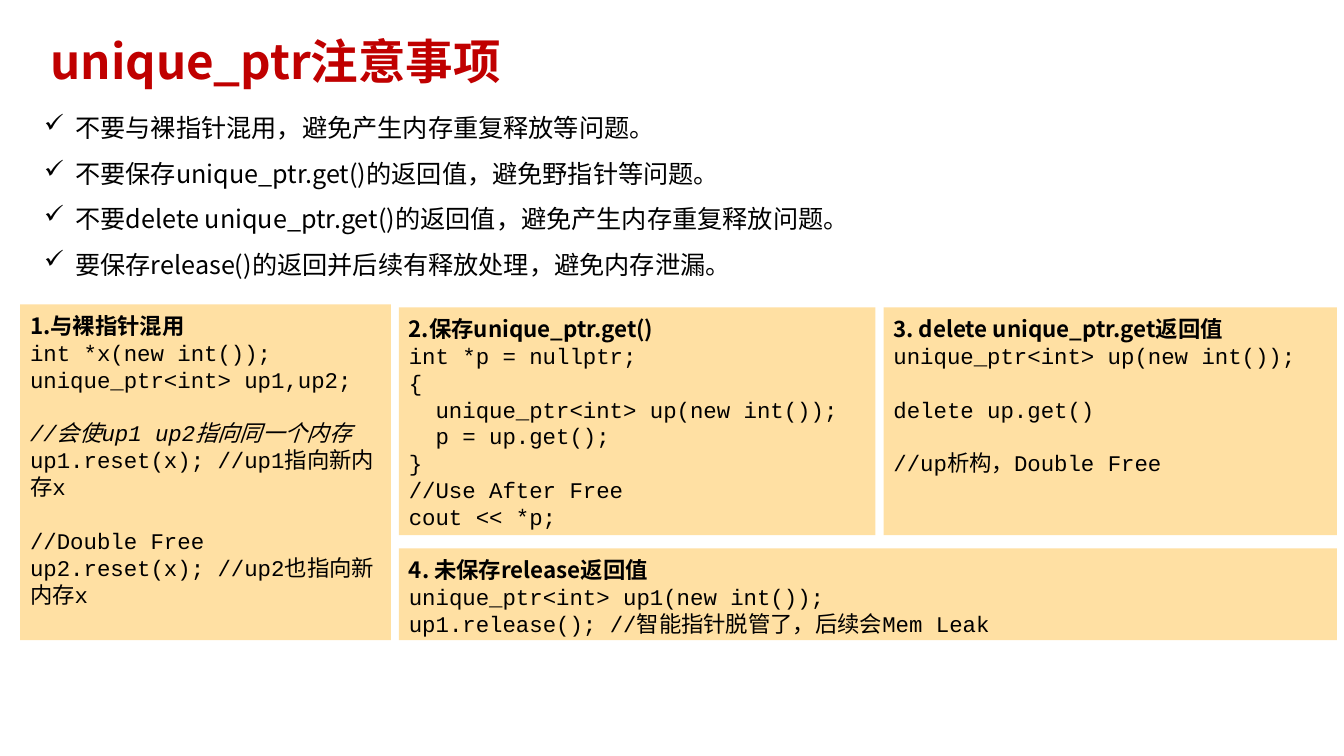
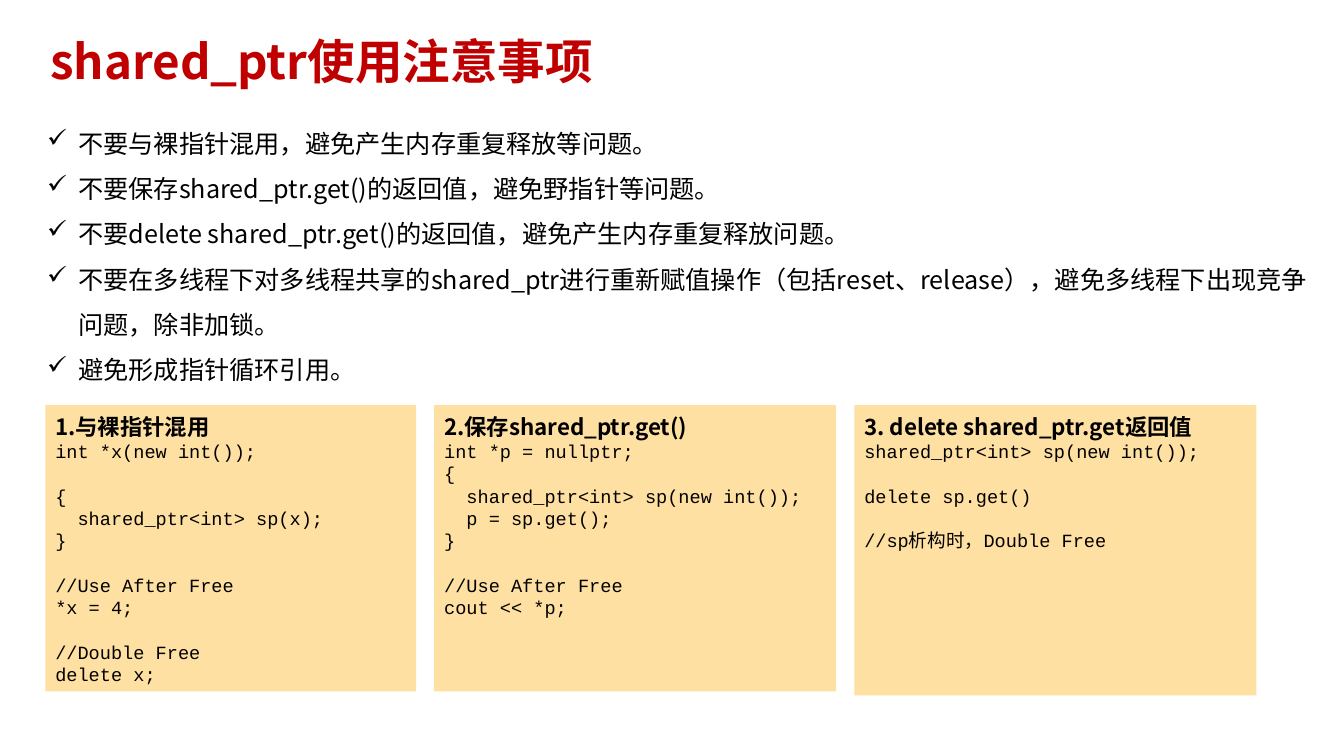
from dataclasses import dataclass

from lxml import etree
from pptx import Presentation
from pptx.dml.color import RGBColor
from pptx.enum.shapes import MSO_SHAPE
from pptx.enum.text import MSO_ANCHOR, PP_ALIGN
from pptx.oxml.ns import qn
from pptx.slide import Slide
from pptx.text.text import TextFrame
from pptx.util import Inches, Pt

RECTANGLE = MSO_SHAPE.RECTANGLE
TOP, MIDDLE = MSO_ANCHOR.TOP, MSO_ANCHOR.MIDDLE
LEFT = PP_ALIGN.LEFT


@dataclass(frozen=True)
class Theme:
    title_color: RGBColor = RGBColor(0xC0, 0x00, 0x00)
    ink: RGBColor = RGBColor(0x00, 0x00, 0x00)
    panel: RGBColor = RGBColor(0xFF, 0xE0, 0xA3)
    text_font: str = "Noto Sans CJK SC"
    code_font: str = "Courier New"
    title_size: float = 34
    rule_size: float = 18
    heading_size: float = 16
    rule_leading: float = 1.8
    heading_leading: float = 1.32
    code_leading: float = 1.2
    rule_indent: float = 0.31


THEME = Theme()


@dataclass(frozen=True)
class Box:
    left: float
    top: float
    width: float
    height: float

    def lengths(self) -> tuple[int, int, int, int]:
        return Inches(self.left), Inches(self.top), Inches(self.width), Inches(self.height)


@dataclass(frozen=True)
class Example:
    heading: str
    code: str
    box: Box
    italic_line: str = ""


@dataclass(frozen=True)
class Page:
    title: str
    rules: tuple[str, ...]
    rules_box: Box
    examples: tuple[Example, ...]
    code_size: float


def row_boxes(left: float, top: float, gap: float, sizes: tuple[tuple[float, float], ...]) -> list[Box]:
    boxes = []
    for width, height in sizes:
        boxes.append(Box(left, top, width, height))
        left += width + gap
    return boxes


def add_text(frame: TextFrame, text: str, *, size: float, color: RGBColor = THEME.ink,
             font: str = THEME.text_font, bold: bool = False, italic: bool = False,
             leading: float = 0, space_before: float = 0, bullet: str = "") -> None:
    first = frame.paragraphs[0]
    paragraph = frame.add_paragraph() if first.runs else first
    paragraph.alignment = LEFT
    if leading:
        paragraph.line_spacing = Pt(size * leading)
    if space_before:
        paragraph.space_before = Pt(space_before)
    if bullet:
        properties = paragraph._p.get_or_add_pPr()
        properties.set("marL", str(Inches(THEME.rule_indent)))
        properties.set("indent", str(-Inches(THEME.rule_indent)))
        etree.SubElement(properties, qn("a:buChar")).set("char", bullet)
    run = paragraph.add_run()
    run.text = text
    run.font.size = Pt(size)
    run.font.bold = bold
    run.font.italic = italic
    run.font.color.rgb = color
    run.font.name = font
    east_asian = etree.SubElement(run._r.get_or_add_rPr(), qn("a:ea"))
    east_asian.set("typeface", THEME.text_font)


def draw_title(slide: Slide, title: str) -> None:
    frame = slide.shapes.add_textbox(*Box(0.37, 0.28, 12.97, 0.64).lengths()).text_frame
    frame.word_wrap = True
    frame.vertical_anchor = MIDDLE
    frame.margin_left = frame.margin_right = Inches(0.13)
    frame.margin_top = frame.margin_bottom = Inches(0.07)
    add_text(frame, title, size=THEME.title_size, color=THEME.title_color, bold=True)


def draw_rules(slide: Slide, rules: tuple[str, ...], box: Box) -> None:
    frame = slide.shapes.add_textbox(*box.lengths()).text_frame
    frame.word_wrap = True
    for rule in rules:
        add_text(frame, rule, size=THEME.rule_size, leading=THEME.rule_leading, bullet="✓")


def draw_example(slide: Slide, example: Example, code_size: float) -> None:
    panel = slide.shapes.add_shape(RECTANGLE, *example.box.lengths())
    panel.shadow.inherit = False
    panel.fill.solid()
    panel.fill.fore_color.rgb = THEME.panel
    panel.line.fill.background()
    frame = panel.text_frame
    frame.word_wrap = True
    frame.vertical_anchor = TOP
    add_text(frame, example.heading, size=THEME.heading_size, bold=True,
             leading=THEME.heading_leading)
    for block_number, block in enumerate(example.code.split("\n\n")):
        for line_number, line in enumerate(block.split("\n")):
            starts_block = block_number > 0 and line_number == 0
            add_text(frame, line, size=code_size, font=THEME.code_font,
                     italic=line == example.italic_line, leading=THEME.code_leading,
                     space_before=code_size * THEME.code_leading if starts_block else 0)


def draw_page(slide: Slide, page: Page) -> None:
    draw_title(slide, page.title)
    draw_rules(slide, page.rules, page.rules_box)
    for example in page.examples:
        draw_example(slide, example, page.code_size)


GAP = 0.08
MIXED_BOX = Box(0.2, 3.02, 3.68, 3.33)
GET_BOX, DELETE_BOX = row_boxes(3.96, 3.05, GAP, ((4.73, 2.26), (4.5, 2.26)))
RELEASE_BOX = Box(GET_BOX.left, 5.44, GET_BOX.width + GAP + DELETE_BOX.width, 0.91)
SHARED_BOXES = row_boxes(0.45, 4.02, 0.18, ((3.68, 2.84), (3.99, 2.84), (3.99, 2.88)))
SAME_MEMORY = "//会使up1 up2指向同一个内存"

UNIQUE_PAGE = Page(
    title="unique_ptr注意事项",
    rules=(
        "不要与裸指针混用，避免产生内存重复释放等问题。",
        "不要保存unique_ptr.get()的返回值，避免野指针等问题。",
        "不要delete unique_ptr.get()的返回值，避免产生内存重复释放问题。",
        "要保存release()的返回并后续有释放处理，避免内存泄漏。",
    ),
    rules_box=Box(0.34, 0.92, 12.71, 1.87),
    examples=(
        Example("1.与裸指针混用", f"""int *x(new int());
unique_ptr<int> up1,up2;

{SAME_MEMORY}
up1.reset(x); //up1指向新内存x

//Double Free
up2.reset(x); //up2也指向新内存x""", MIXED_BOX, SAME_MEMORY),
        Example("2.保存unique_ptr.get()", """int *p = nullptr;
{
  unique_ptr<int> up(new int());
  p = up.get();
}
//Use After Free
cout << *p;""", GET_BOX),
        Example("3. delete unique_ptr.get返回值", """unique_ptr<int> up(new int());

delete up.get()

//up析构，Double Free""", DELETE_BOX),
        Example("4. 未保存release返回值", """unique_ptr<int> up1(new int());
up1.release(); //智能指针脱管了，后续会Mem Leak""", RELEASE_BOX),
    ),
    code_size=16,
)

SHARED_PAGE = Page(
    title="shared_ptr使用注意事项",
    rules=(
        "不要与裸指针混用，避免产生内存重复释放等问题。",
        "不要保存shared_ptr.get()的返回值，避免野指针等问题。",
        "不要delete shared_ptr.get()的返回值，避免产生内存重复释放问题。",
        "不要在多线程下对多线程共享的shared_ptr进行重新赋值操作（包括reset、release），"
        "避免多线程下出现竞争问题，除非加锁。",
        "避免形成指针循环引用。",
    ),
    rules_box=Box(0.37, 1.07, 12.71, 3.13),
    examples=(
        Example("1.与裸指针混用", """int *x(new int());

{
  shared_ptr<int> sp(x);
}

//Use After Free
*x = 4;

//Double Free
delete x;""", SHARED_BOXES[0]),
        Example("2.保存shared_ptr.get()", """int *p = nullptr;
{
  shared_ptr<int> sp(new int());
  p = sp.get();
}

//Use After Free
cout << *p;""", SHARED_BOXES[1]),
        Example("3. delete shared_ptr.get返回值", """shared_ptr<int> sp(new int());

delete sp.get()

//sp析构时，Double Free""", SHARED_BOXES[2]),
    ),
    code_size=13.3,
)


def main() -> None:
    deck = Presentation()
    deck.slide_width = Inches(13.34)
    deck.slide_height = Inches(7.5)
    blank_layout = deck.slide_layouts[6]
    for page in (UNIQUE_PAGE, SHARED_PAGE):
        draw_page(deck.slides.add_slide(blank_layout), page)
    deck.save("out.pptx")


if __name__ == "__main__":
    main()
